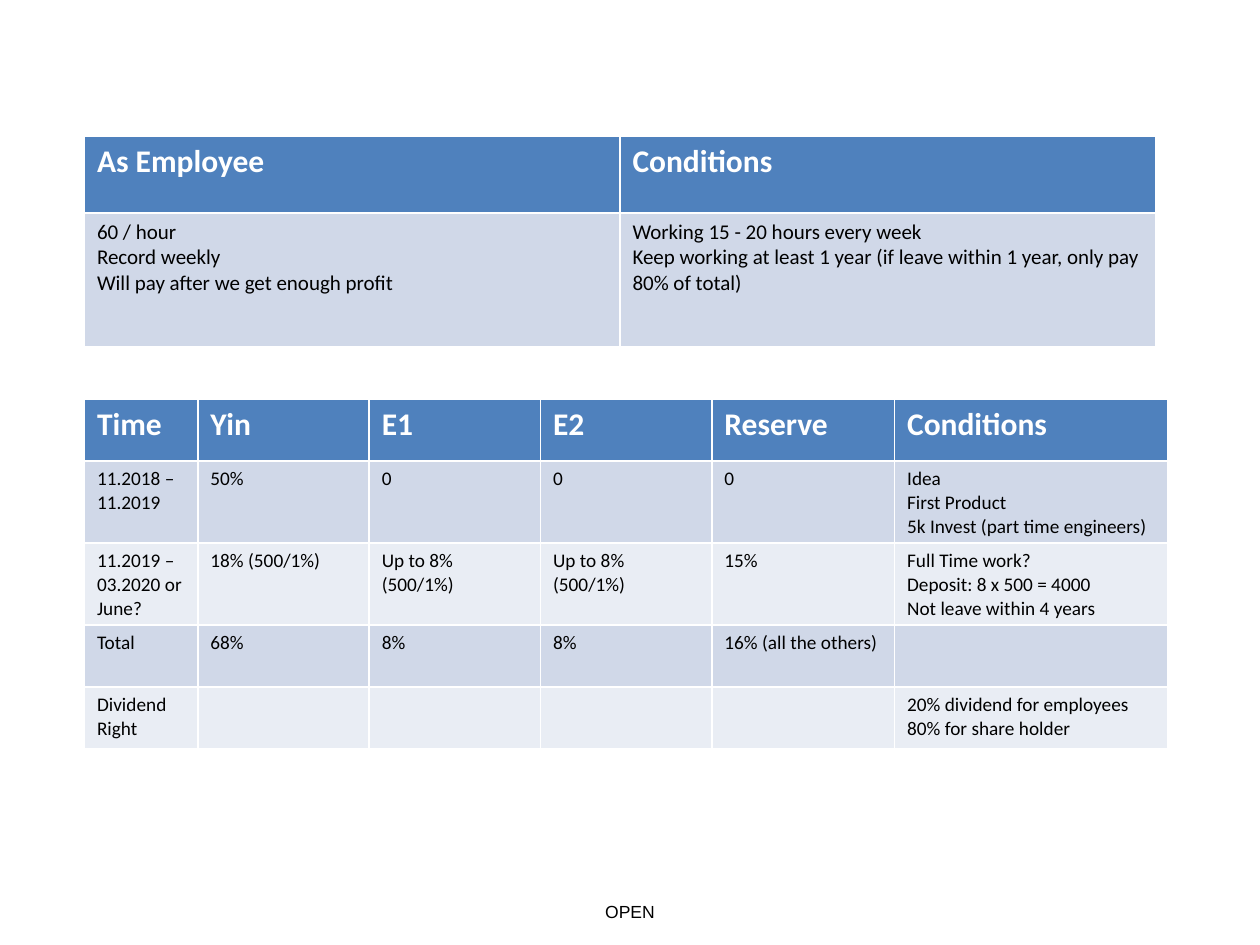
from pptx import Presentation
from pptx.dml.color import RGBColor as Rgb
from pptx.enum.text import PP_ALIGN as Align
from pptx.util import Inches, Pt

COLORS = {"header": "4F81BD", "odd": "D0D8E8", "even": "E9EDF4", "light": "FFFFFF", "dark": "000000"}
HEADING = {"name": "Calibri", "size": Pt(18), "bold": True}
EMPLOYEE_BODY = {"name": "Calibri", "size": Pt(12), "bold": False}
SHARES_BODY = {"name": "Calibri", "size": Pt(11), "bold": False}
FOOTER = {"name": "Arial", "size": Pt(10)}

EMPLOYEE = [
    ["As Employee", "Conditions"],
    ["60 / hour\nRecord weekly\nWill pay after we get enough profit",
     "Working 15 - 20 hours every week\n"
     "Keep working at least 1 year (if leave within 1 year, only pay 80% of total)"],
]
SHARES = [
    ["Time", "Yin", "E1", "E2", "Reserve", "Conditions"],
    ["11.2018 – 11.2019", "50%", "0", "0", "0",
     "Idea\nFirst Product\n5k Invest (part time engineers)"],
    ["11.2019 – 03.2020 or June?", "18% (500/1%)", "Up to 8% (500/1%)", "Up to 8% (500/1%)", "15%",
     "Full Time work?\nDeposit: 8 x 500 = 4000\nNot leave within 4 years"],
    ["Total", "68%", "8%", "8%", "16% (all the others)", ""],
    ["Dividend Right", "", "", "", "", "20% dividend for employees\n80% for share holder"],
]


class SlideBuilder:
    """Holds the deck style and the slide being filled."""

    def __init__(self, deck):
        self.slide = deck.slides.add_slide(deck.slide_layouts[6])

    def fill_text(self, frame, text, style, color, align=Align.LEFT):
        frame.word_wrap = True
        frame.text = text
        for paragraph in frame.paragraphs:
            paragraph.alignment = align
            for key, value in style.items():
                setattr(paragraph.font, key, value)
            paragraph.font.color.rgb = Rgb.from_string(COLORS[color])

    def label(self, text, box, style):
        footer = self.slide.shapes.add_textbox(*map(Inches, box))
        self.fill_text(footer.text_frame, text, style, "dark", Align.CENTER)

    def table(self, content, left, top, widths, heights, body):
        box = (left, top, sum(widths), sum(heights))
        grid = self.slide.shapes.add_table(len(heights), len(widths), *map(Inches, box)).table
        for column, width in zip(grid.columns, widths):
            column.width = Inches(width)
        for index, (row, height, texts) in enumerate(zip(grid.rows, heights, content)):
            row.height = Inches(height)
            band = "header" if index == 0 else ("even", "odd")[index % 2]
            style, color = (HEADING, "light") if index == 0 else (body, "dark")
            for cell, text in zip(row.cells, texts):
                cell.fill.solid()
                cell.fill.fore_color.rgb = Rgb.from_string(COLORS[band])
                self.fill_text(cell.text_frame, text, style, color)


def main():
    deck = Presentation()
    deck.slide_width, deck.slide_height = Inches(10), Inches(7.5)
    builder = SlideBuilder(deck)
    builder.label("OPEN", (0, 7.1, 10, 0.44), FOOTER)
    builder.table(SHARES, 0.67, 3.17, [0.9, 1.36, 1.36, 1.36, 1.45, 2.17],
                  [0.49, 0.56, 0.49, 0.49, 0.49], SHARES_BODY)
    builder.table(EMPLOYEE, 0.67, 1.08, [4.25, 4.25], [0.61, 1.06], EMPLOYEE_BODY)
    deck.save("out.pptx")


if __name__ == "__main__":
    main()
